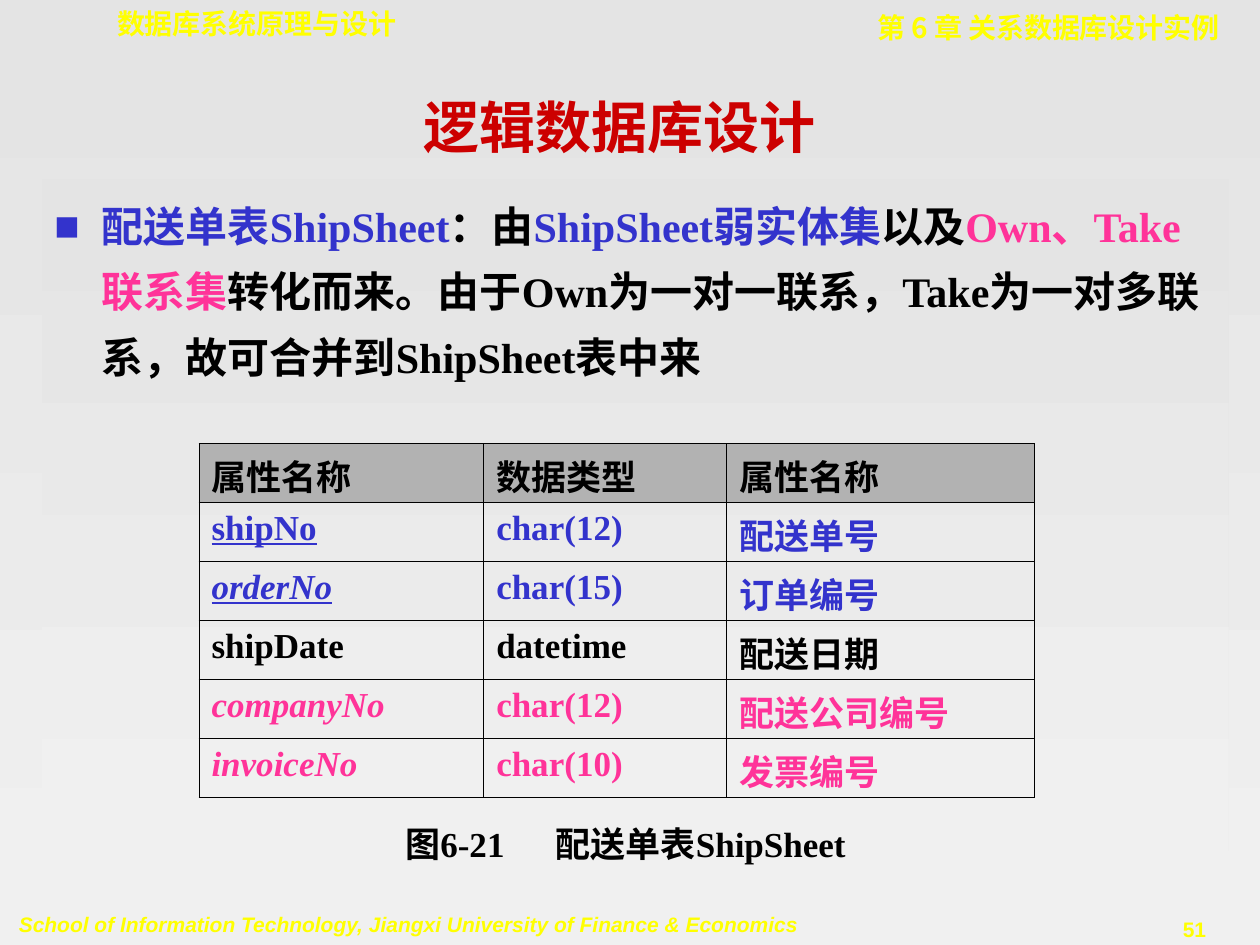
from lxml import etree
from pptx import Presentation
from pptx.dml.color import RGBColor
from pptx.enum.text import MSO_ANCHOR, MSO_AUTO_SIZE, PP_ALIGN
from pptx.oxml.ns import qn
from pptx.util import Cm, Pt

YELLOW = RGBColor(0xFF, 0xFF, 0x00)
RED = RGBColor(0xCC, 0x00, 0x00)
BLUE = RGBColor(0x33, 0x33, 0xCC)
PINK = RGBColor(0xFF, 0x33, 0x99)
BLACK = RGBColor(0x00, 0x00, 0x00)
HEAD_GREY = RGBColor(0xB2, 0xB2, 0xB2)
PALE = RGBColor(0xE4, 0xE4, 0xE4)
PALER = RGBColor(0xF0, 0xF0, 0xF0)

SERIF = "Times New Roman"
SANS = "Arial"
MONO = "DejaVu Sans Mono"
CJK = "Noto Sans CJK SC"

BODY_RUNS = [
    ("配送单表ShipSheet", BLUE),
    ("：由", BLACK),
    ("ShipSheet弱实体集", BLUE),
    ("以及", BLACK),
    ("Own、Take联系集", PINK),
    ("转化而来。由于Own为一对一联系，Take为一对多联系，故可合并到ShipSheet表中来", BLACK),
]

TABLE_ROWS = [
    (("属性名称", "数据类型", "属性名称"), BLACK, {}),
    (("shipNo", "char(12)", "配送单号"), BLUE, {"underline": True}),
    (("orderNo", "char(15)", "订单编号"), BLUE, {"italic": True, "underline": True}),
    (("shipDate", "datetime", "配送日期"), BLACK, {}),
    (("companyNo", "char(12)", "配送公司编号"), PINK, {"italic": True}),
    (("invoiceNo", "char(10)", "发票编号"), PINK, {"italic": True}),
]


def add_text(p, text, size=20, color=BLACK, font=SERIF, italic=False, underline=False):
    """Add a bold run to a paragraph."""
    r = p.add_run()
    r.text = text
    f = r.font
    f.name, f.size, f.bold = font, Pt(size), True
    f.italic, f.underline = italic, underline
    f.color.rgb = color
    etree.SubElement(r._r.get_or_add_rPr(), qn("a:ea"), typeface=CJK)


def place(sp, box):
    """Move a shape to a box given in centimetres."""
    sp.left, sp.top, sp.width, sp.height = (Cm(v) for v in box)


def shade(fill):
    """Fill with the pale gradient running from top to bottom."""
    fill.gradient()
    fill.gradient_angle = 270
    for stop, color in zip(fill.gradient_stops, (PALE, PALER)):
        stop.color.rgb = color


def add_label(slide, box, text, align=PP_ALIGN.LEFT, wrap=True, **fmt):
    """Add a one-line text box and return its paragraph."""
    tf = slide.shapes.add_textbox(*(Cm(v) for v in box)).text_frame
    tf.word_wrap = wrap
    p = tf.paragraphs[0]
    p.alignment = align
    add_text(p, text, **fmt)
    return p


def add_running_heads(slide):
    """Add the header and footer lines."""
    add_label(slide, (22.81, 18.36, 2.54, 0.76), "51", PP_ALIGN.CENTER, False,
              size=12, color=YELLOW, font=SANS)
    add_label(slide, (0.13, 18.26, 16.26, 0.76),
              "School of Information Technology, Jiangxi University of Finance & Economics",
              wrap=False, size=12, color=YELLOW, font=SANS, italic=True)
    add_label(slide, (2.11, 0, 9.3, 0.94), "数据库系统原理与设计",
              size=16, color=YELLOW, font=MONO)
    add_label(slide, (13.79, 0.08, 11.05, 0.94), "第 6 章 关系数据库设计实例",
              PP_ALIGN.RIGHT, size=16, color=YELLOW, font=CJK)


def fill_title(sp, box):
    """Write the slide title in its placeholder."""
    place(sp, box)
    tf = sp.text_frame
    tf.auto_size = MSO_AUTO_SIZE.NONE
    tf.vertical_anchor = MSO_ANCHOR.MIDDLE
    p = tf.paragraphs[0]
    p.alignment = PP_ALIGN.CENTER
    add_text(p, "逻辑数据库设计", size=32, color=RED)


def fill_body(sp, box):
    """Write the bulleted explanation in the body placeholder."""
    place(sp, box)
    shade(sp.fill)
    tf = sp.text_frame
    tf.auto_size = MSO_AUTO_SIZE.NONE
    p = tf.paragraphs[0]
    p.line_spacing = 1.3
    p.space_before = Pt(0)
    pPr = p._p.get_or_add_pPr()
    pPr.set("marL", str(Cm(0.96)))
    pPr.set("indent", str(-Cm(0.96)))
    clr = etree.SubElement(pPr, qn("a:buClr"))
    etree.SubElement(clr, qn("a:srgbClr"), val=str(BLUE))
    etree.SubElement(pPr, qn("a:buFont"), typeface=SANS)
    etree.SubElement(pPr, qn("a:buChar"), char="■")
    for text, color in BODY_RUNS:
        add_text(p, text, size=24, color=color)


def add_borders(cell):
    """Draw thin black lines on the four sides of a cell."""
    tcPr = cell._tc.get_or_add_tcPr()
    for i, side in enumerate(("a:lnL", "a:lnR", "a:lnT", "a:lnB")):
        ln = etree.Element(qn(side), w=str(Pt(0.45)))
        fill = etree.SubElement(ln, qn("a:solidFill"))
        etree.SubElement(fill, qn("a:srgbClr"), val=str(BLACK))
        tcPr.insert(i, ln)


def add_attribute_table(slide, box, col_widths):
    """Add the table of ShipSheet attributes."""
    table = slide.shapes.add_table(len(TABLE_ROWS), len(col_widths),
                                   *(Cm(v) for v in box)).table
    table.first_row = table.horz_banding = False
    for col, width in zip(table.columns, col_widths):
        col.width = Cm(width)
    for i, (texts, color, name_fmt) in enumerate(TABLE_ROWS):
        for j, text in enumerate(texts):
            cell = table.cell(i, j)
            if i == 0:
                cell.fill.solid()
                cell.fill.fore_color.rgb = HEAD_GREY
            else:
                cell.fill.background()
            add_borders(cell)
            fmt = name_fmt if j == 0 else {}
            add_text(cell.text_frame.paragraphs[0], text, color=color, **fmt)


def add_caption(slide, box):
    """Add the caption, its number and name set apart by a tab stop."""
    p = add_label(slide, box, "图6-21\t配送单表ShipSheet")
    tabs = etree.SubElement(p._p.get_or_add_pPr(), qn("a:tabLst"))
    etree.SubElement(tabs, qn("a:tab"), pos=str(Cm(3.03)), algn="l")


def main():
    """Build and save the slide."""
    prs = Presentation()
    prs.slide_width, prs.slide_height = Cm(25.4), Cm(19.05)
    slide = prs.slides.add_slide(prs.slide_layouts[1])
    shade(slide.background.fill)
    add_running_heads(slide)
    fill_title(slide.shapes.title, (1.7, 1.7, 21.59, 1.7))
    fill_body(slide.placeholders[1], (0.84, 3.61, 23.93, 13.54))
    add_attribute_table(slide, (4.01, 8.94, 16.84, 7.14), (5.74, 4.9, 6.2))
    add_caption(slide, (7.92, 16.46, 9.8, 1.12))
    prs.save("out.pptx")


if __name__ == "__main__":
    main()
